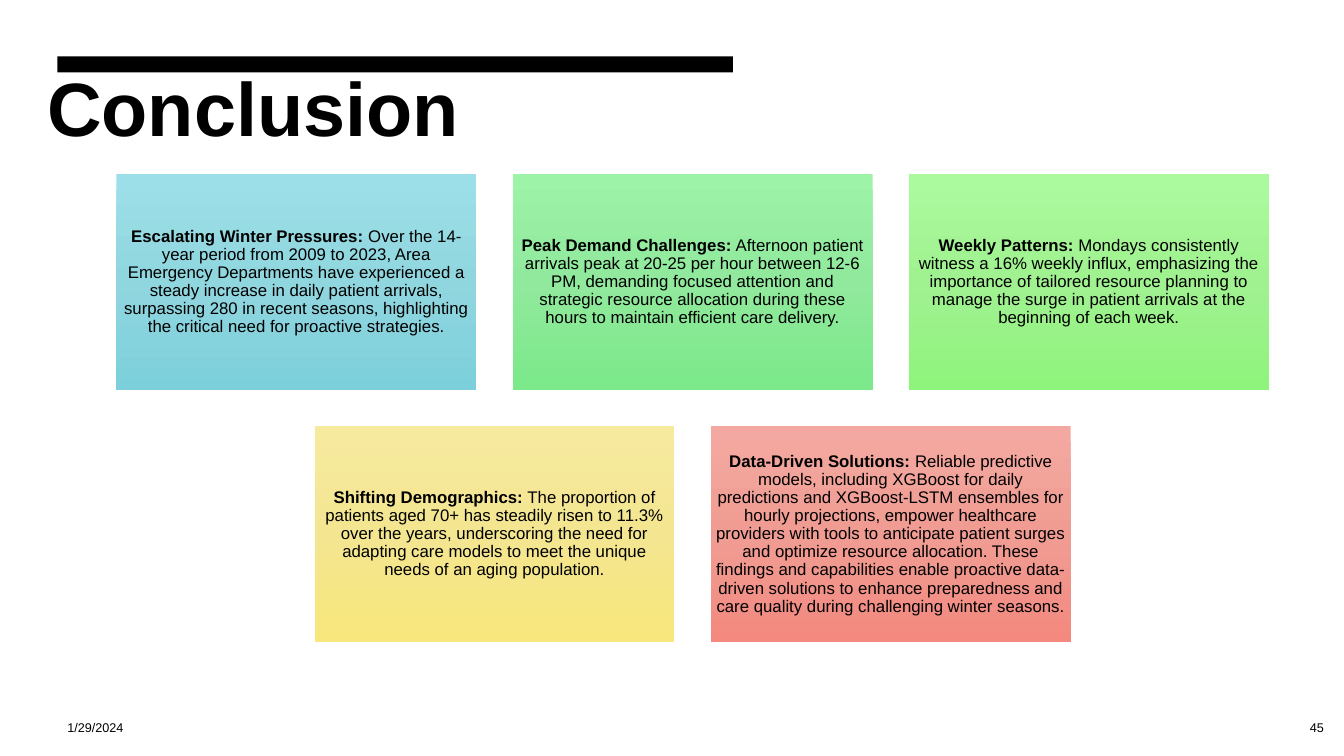
from copy import deepcopy
from dataclasses import dataclass

from pptx import Presentation
from pptx.dml.color import RGBColor
from pptx.enum.shapes import MSO_SHAPE as Preset
from pptx.enum.text import MSO_ANCHOR as Anchor, PP_ALIGN as Align
from pptx.oxml.ns import qn
from pptx.shapes.autoshape import Shape
from pptx.slide import Slide
from pptx.text.text import _Paragraph as Paragraph
from pptx.util import Inches, Pt

FONT = "Arial"
BLACK = "000000"
WHITE = "FFFFFF"
CARD_WIDTH, CARD_HEIGHT, CARD_GAP = 3.57, 2.14, 0.36
CARDS_CENTER, CARDS_TOP = 6.87, 1.73
CARD_INSET = 0.05


@dataclass(frozen=True)
class Box:
    left: float
    top: float
    width: float
    height: float


@dataclass(frozen=True)
class Label:
    text: str
    box: Box
    size: float
    bold: bool = False
    align: Align = Align.LEFT
    anchor: Anchor = Anchor.MIDDLE


@dataclass(frozen=True)
class Finding:
    heading: str
    body: str
    shades: tuple[str, str, str]


LABELS = [
    Label("Conclusion", Box(0.37, 0.56, 6.69, 2.55), 54, bold=True, anchor=Anchor.TOP),
    Label("1/29/2024", Box(0.57, 7.02, 3, 0.4), 9),
    Label("45", Box(12.53, 7.02, 0.7, 0.4), 9, align=Align.RIGHT),
]

FINDING_ROWS = [
    [
        Finding(
            "Escalating Winter Pressures:",
            " Over the 14-year period from 2009 to 2023, Area Emergency Departments "
            "have experienced a steady increase in daily patient arrivals, surpassing "
            "280 in recent seasons, highlighting the critical need for proactive "
            "strategies.",
            ("9DDFE8", "90D6DF", "7CD0DB"),
        ),
        Finding(
            "Peak Demand Challenges:",
            " Afternoon patient arrivals peak at 20-25 per hour between 12-6 PM, "
            "demanding focused attention and strategic resource allocation during "
            "these hours to maintain efficient care delivery.",
            ("9DF3A8", "90E99C", "7CE98A"),
        ),
        Finding(
            "Weekly Patterns:",
            " Mondays consistently witness a 16% weekly influx, emphasizing the "
            "importance of tailored resource planning to manage the surge in patient "
            "arrivals at the beginning of each week.",
            ("ACFA9E", "A0F190", "8FF47C"),
        ),
    ],
    [
        Finding(
            "Shifting Demographics:",
            " The proportion of patients aged 70+ has steadily risen to 11.3% over "
            "the years, underscoring the need for adapting care models to meet the "
            "unique needs of an aging population.",
            ("F6EA9F", "F4E691", "F7E77C"),
        ),
        Finding(
            "Data-Driven Solutions:",
            " Reliable predictive models, including XGBoost for daily predictions and "
            "XGBoost-LSTM ensembles for hourly projections, empower healthcare "
            "providers with tools to anticipate patient surges and optimize resource "
            "allocation. These findings and capabilities enable proactive data-driven "
            "solutions to enhance preparedness and care quality during challenging "
            "winter seasons.",
            ("F3A9A1", "F09C93", "F3897F"),
        ),
    ],
]


def rgb(value: str) -> RGBColor:
    return RGBColor.from_string(value)


def extent(box: Box) -> tuple[Inches, Inches, Inches, Inches]:
    return Inches(box.left), Inches(box.top), Inches(box.width), Inches(box.height)


def add_run(paragraph: Paragraph, text: str, size: float, bold: bool) -> None:
    run = paragraph.add_run()
    run.text = text
    run.font.name = FONT
    run.font.size = Pt(size)
    run.font.bold = bold
    run.font.color.rgb = rgb(BLACK)


def add_rectangle(slide: Slide, box: Box) -> Shape:
    rectangle = slide.shapes.add_shape(Preset.RECTANGLE, *extent(box))
    rectangle.shadow.inherit = False
    rectangle.line.fill.background()
    return rectangle


def add_solid(slide: Slide, box: Box, color: str) -> None:
    fill = add_rectangle(slide, box).fill
    fill.solid()
    fill.fore_color.rgb = rgb(color)


def shade(card: Shape, shades: tuple[str, str, str]) -> None:
    card.fill.gradient()
    card.fill.gradient_angle = 270
    stop_list = next(card.element.iter(qn("a:gsLst")))
    stop_list.insert(1, deepcopy(stop_list[0]))
    for index, (stop, color) in enumerate(zip(card.fill.gradient_stops, shades)):
        stop.position = index / 2
        stop.color.rgb = rgb(color)


def add_label(slide: Slide, label: Label) -> None:
    frame = slide.shapes.add_textbox(*extent(label.box)).text_frame
    frame.word_wrap = True
    frame.vertical_anchor = label.anchor
    paragraph = frame.paragraphs[0]
    paragraph.alignment = label.align
    paragraph.space_after = Pt(6)
    add_run(paragraph, label.text, label.size, label.bold)


def add_finding(slide: Slide, finding: Finding, box: Box) -> None:
    card = add_rectangle(slide, box)
    shade(card, finding.shades)
    frame = card.text_frame
    frame.word_wrap = True
    frame.vertical_anchor = Anchor.MIDDLE
    frame.margin_left = frame.margin_right = Inches(CARD_INSET)
    frame.margin_top = frame.margin_bottom = Inches(CARD_INSET)
    paragraph = frame.paragraphs[0]
    paragraph.alignment = Align.CENTER
    paragraph.line_spacing = 0.9
    add_run(paragraph, finding.heading, 12, True)
    add_run(paragraph, finding.body, 12, False)


def main() -> None:
    deck = Presentation()
    deck.slide_width = Inches(13.33)
    deck.slide_height = Inches(7.5)
    slide = deck.slides.add_slide(deck.slide_layouts[6])

    add_solid(slide, Box(0, 0, 13.33, 7.5), WHITE)
    add_solid(slide, Box(0.57, 0.56, 6.7, 0.16), BLACK)
    for label in LABELS:
        add_label(slide, label)

    for row, findings in enumerate(FINDING_ROWS):
        row_width = len(findings) * (CARD_WIDTH + CARD_GAP) - CARD_GAP
        row_left = CARDS_CENTER - row_width / 2
        top = CARDS_TOP + row * (CARD_HEIGHT + CARD_GAP)
        for column, finding in enumerate(findings):
            left = row_left + column * (CARD_WIDTH + CARD_GAP)
            add_finding(slide, finding, Box(left, top, CARD_WIDTH, CARD_HEIGHT))

    deck.save("out.pptx")


if __name__ == "__main__":
    main()
